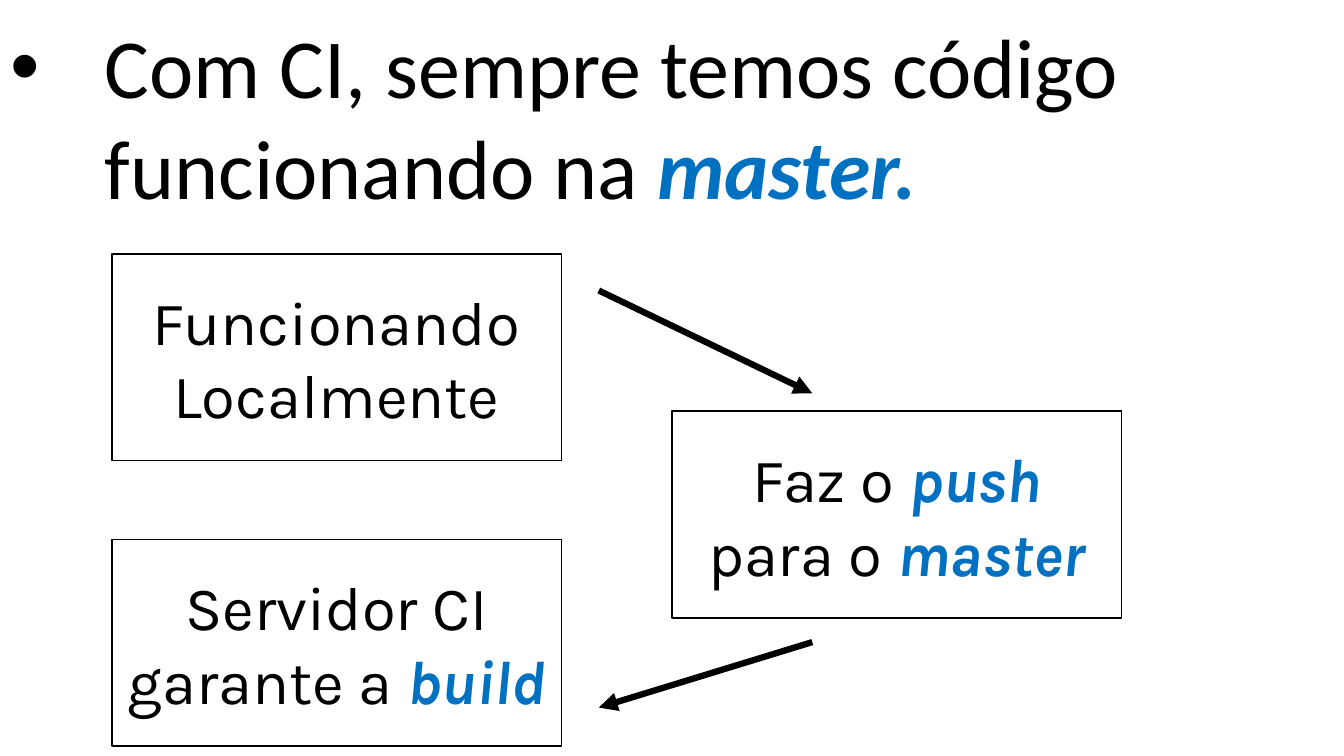
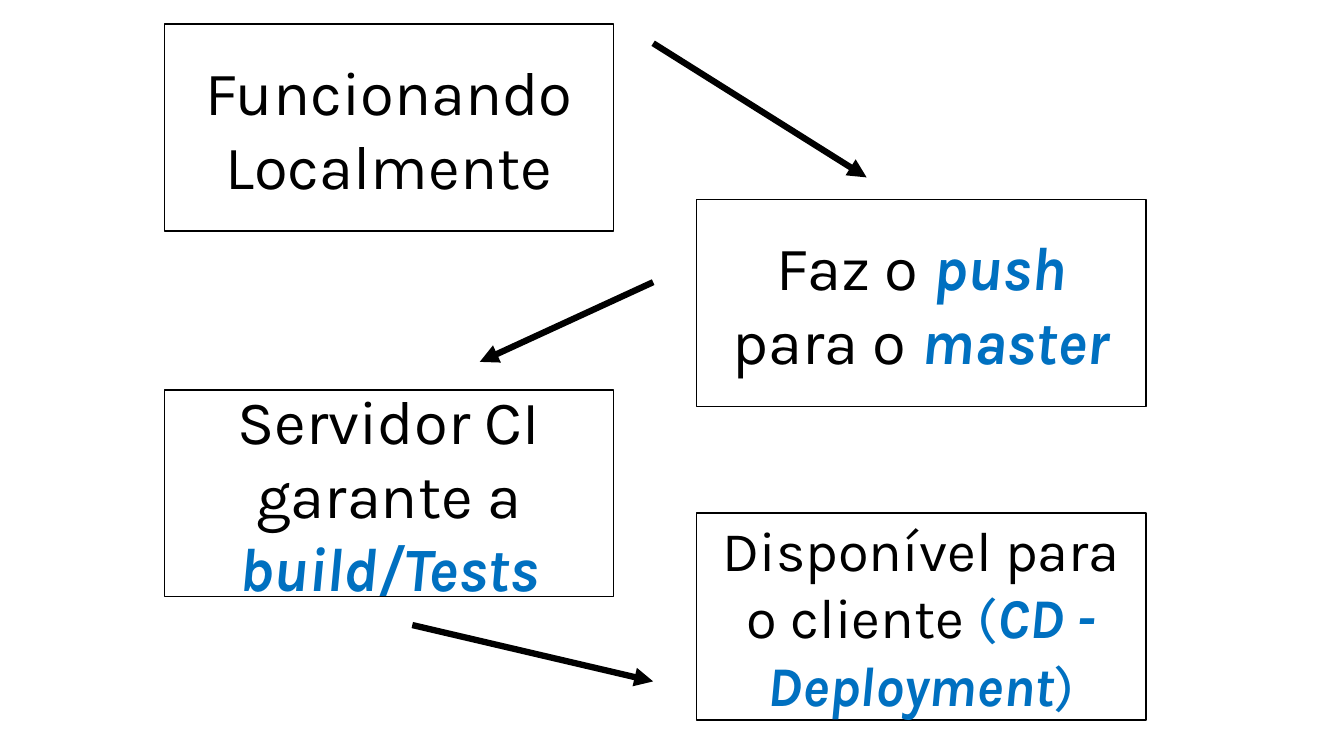
from dataclasses import dataclass

from lxml.etree import SubElement
from pptx import Presentation
from pptx.dml.color import RGBColor
from pptx.enum.shapes import MSO_CONNECTOR, MSO_SHAPE
from pptx.enum.text import MSO_ANCHOR, MSO_AUTO_SIZE, PP_ALIGN
from pptx.oxml.ns import qn
from pptx.util import Cm, Pt


@dataclass(frozen=True)
class Theme:
    ink: RGBColor = RGBColor(0x00, 0x00, 0x00)
    accent: RGBColor = RGBColor(0x00, 0x70, 0xC0)
    paper: RGBColor = RGBColor(0xFF, 0xFF, 0xFF)
    title_font: str = "Calibri"
    step_font: str = "Karla"
    title_size: int = 60
    step_size: int = 44
    small_step_size: int = 40
    border: float = 1
    arrow: float = 4.5


THEME = Theme()
SLIDE_SIZE = (33.87, 19.05)
TITLE_AREA = (0, 0.25, 33.87, 5.38)
TITLE_INDENT = 2.39
STEP_SIZE = (11.33, 5.21)

PLAIN, COLOURED, STRONG = "plain", "coloured", "strong"

LOCAL = [("Funcionando Localmente", PLAIN)]
PUSH = [("Faz o ", PLAIN), ("push", STRONG), (" para o ", PLAIN), ("master", STRONG)]
SERVER = ("Servidor CI garante a ", PLAIN)
DEPLOY = [
    ("Disponível para o cliente ", PLAIN),
    ("(", COLOURED),
    ("CD - Deployment", STRONG),
    (")", COLOURED),
]

SLIDES = [
    {
        "title": [
            ("Com CI, sempre temos código funcionando na ", PLAIN),
            ("master.", STRONG),
        ],
        "columns": (2.82, 16.94),
        "steps": [
            (6.4, LOCAL, THEME.step_size),
            (10.36, PUSH, THEME.step_size),
            (13.59, [SERVER, ("build", STRONG)], THEME.step_size),
        ],
        "arrows": [
            ((15.09, 7.32), (20.47, 9.91)),
            ((20.47, 16.18), (15.09, 17.83)),
        ],
    },
    {
        "title": None,
        "columns": (4.14, 17.55),
        "steps": [
            (0.61, LOCAL, THEME.step_size),
            (5.03, PUSH, THEME.step_size),
            (9.83, [SERVER, ("build/Tests", STRONG)], THEME.step_size),
            (12.93, DEPLOY, THEME.small_step_size),
        ],
        "arrows": [
            ((16.46, 1.09), (21.84, 4.47)),
            ((16.46, 7.11), (12.09, 9.12)),
            ((10.39, 15.75), (16.46, 17.17)),
        ],
    },
]


def write(para, spans, font_name, size):
    para.font.name = font_name
    para.font.size = Pt(size)
    para.font.color.rgb = THEME.ink
    for text, style in spans:
        span = para.add_run()
        span.text = text
        if style != PLAIN:
            span.font.color.rgb = THEME.accent
        if style == STRONG:
            span.font.bold = span.font.italic = True


def set_title(page, spans):
    title = page.shapes.title
    title.left, title.top, title.width, title.height = map(Cm, TITLE_AREA)
    frame = title.text_frame
    frame.word_wrap = True
    frame.auto_size = MSO_AUTO_SIZE.NONE
    frame.vertical_anchor = MSO_ANCHOR.TOP
    para = frame.paragraphs[0]
    para.alignment = PP_ALIGN.LEFT
    properties = para._p.get_or_add_pPr()
    properties.set("marL", str(Cm(TITLE_INDENT)))
    properties.set("indent", str(-Cm(TITLE_INDENT)))
    SubElement(properties, qn("a:buFont"), typeface="Arial")
    SubElement(properties, qn("a:buChar"), char="•")
    write(para, spans, THEME.title_font, THEME.title_size)


def add_step(page, left, top, spans, size):
    box = page.shapes.add_shape(
        MSO_SHAPE.RECTANGLE, Cm(left), Cm(top), *map(Cm, STEP_SIZE)
    )
    box.shadow.inherit = False
    box.fill.solid()
    box.fill.fore_color.rgb = THEME.paper
    box.line.color.rgb = THEME.ink
    box.line.width = Pt(THEME.border)
    frame = box.text_frame
    frame.word_wrap = True
    frame.vertical_anchor = MSO_ANCHOR.MIDDLE
    para = frame.paragraphs[0]
    para.alignment = PP_ALIGN.CENTER
    write(para, spans, THEME.step_font, size)


def add_arrow(page, start, end):
    arrow = page.shapes.add_connector(
        MSO_CONNECTOR.STRAIGHT, *map(Cm, start), *map(Cm, end)
    )
    arrow.line.color.rgb = THEME.ink
    arrow.line.width = Pt(THEME.arrow)
    SubElement(arrow.line._get_or_add_ln(), qn("a:tailEnd"), type="triangle")
    SubElement(arrow._element.spPr, qn("a:effectLst"))


def main():
    deck = Presentation()
    deck.slide_width, deck.slide_height = map(Cm, SLIDE_SIZE)
    title_only, blank = deck.slide_layouts[5], deck.slide_layouts[6]
    for content in SLIDES:
        page = deck.slides.add_slide(title_only if content["title"] else blank)
        if content["title"]:
            set_title(page, content["title"])
        for index, (top, spans, size) in enumerate(content["steps"]):
            add_step(page, content["columns"][index % 2], top, spans, size)
        for start, end in content["arrows"]:
            add_arrow(page, start, end)
    deck.save("out.pptx")


if __name__ == "__main__":
    main()
